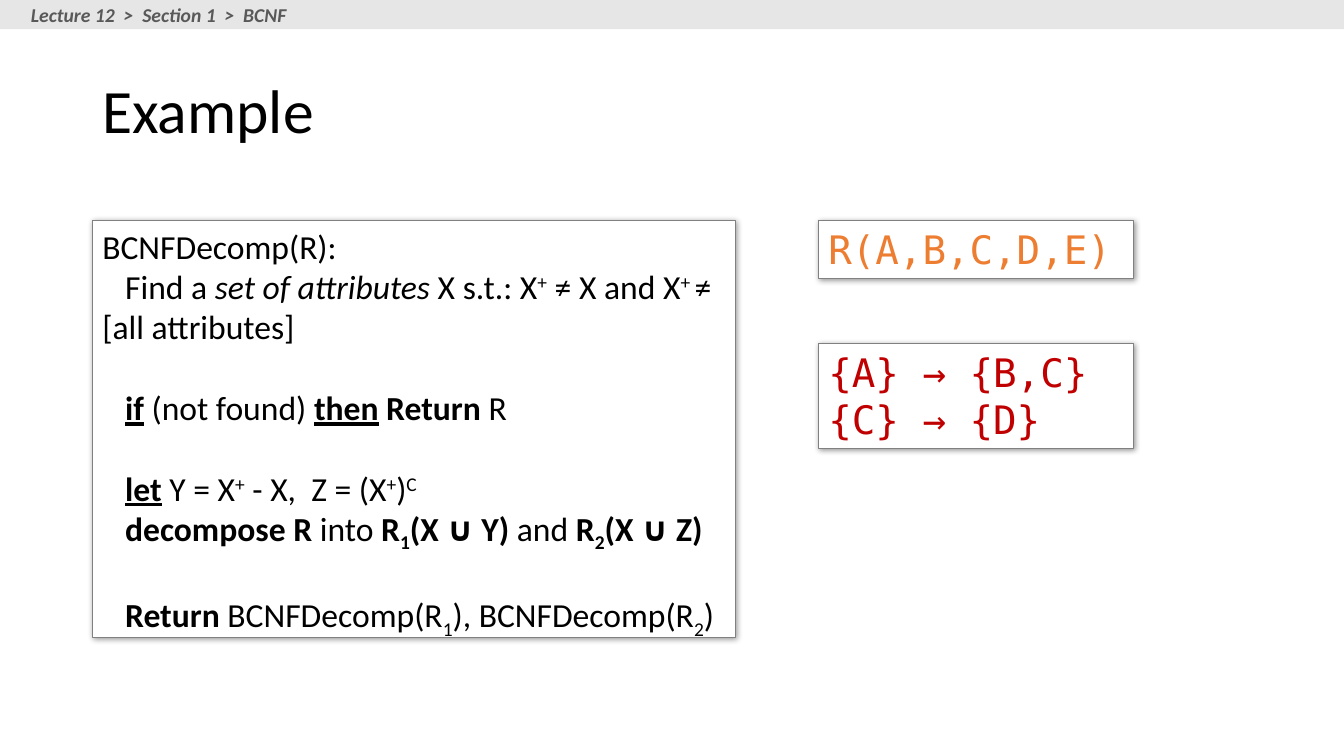
import pptx
import pptx.util
import pptx.dml.color
import pptx.enum.shapes
import pptx.enum.text
import pptx.oxml
import pptx.oxml.ns

Pt = pptx.util.Pt
Anchor = pptx.enum.text.MSO_ANCHOR

# Content: a line is a list of (text, style) runs
# Styles: b bold, i italic, u underline, ^ superscript, _ subscript
CRUMB = [[("Lecture 12  >  Section 1  >  BCNF", "bi")]]
TITLE = [[("Example", "")]]
SCHEMA = [[("R(A,B,C,D,E)", "")]]
RULES = [[("{A} → {B,C}", "")], [("{C} → {D}", "")]]
STEPS = [
    [("BCNFDecomp(R):", "")],
    [("Find a ", ""), ("set of attributes ", "i"), ("X s.t.: X", ""),
     ("+", "^"), (" ≠ X and X", ""), ("+ ", "^"), ("≠ [all attributes]", "")],
    [("if", "bu"), (" (not found) ", ""), ("then", "bu"), (" ", ""),
     ("Return", "b"), (" R", "")],
    [("let", "bu"), (" Y = X", ""), ("+", "^"), (" - X,  Z = (X", ""),
     ("+", "^"), (")", ""), ("C", "^")],
    [("decompose R", "b"), (" into ", ""), ("R", "b"), ("1", "b_"),
     ("(X ∪ Y) ", "b"), ("and ", ""), ("R", "b"), ("2", "b_"),
     ("(X ∪ Z)", "b")],
    [("Return ", "b"), ("BCNFDecomp(R", ""), ("1", "_"),
     ("), BCNFDecomp(R", ""), ("2", "_"), (")", "")],
]
GAPS = {2, 3, 5}  # steps that follow a one-line gap

# Layout
WIDE, HIGH = 960, 540
LEFT, RIGHT, TOP = 66, 584.6, 157.7
SIDE = 225.4
MONO = "DejaVu Sans Mono"
SHIFT = {"^": "30000", "_": "-25000"}
SHADOW = (
    '<a:effectLst %s><a:outerShdw blurRad="50800" dist="12700" dir="2700000" '
    'algn="tl" rotWithShape="0"><a:srgbClr val="000000">'
    '<a:alpha val="40000"/></a:srgbClr></a:outerShdw></a:effectLst>'
    % pptx.oxml.ns.nsdecls("a"))

deck = pptx.Presentation()
deck.slide_width, deck.slide_height = Pt(WIDE), Pt(HIGH)
slide = deck.slides.add_slide(deck.slide_layouts[6])


def color(code):
    return pptx.dml.color.RGBColor.from_string(code)


def write(shape, lines, size=24, font="Calibri", ink="000000",
          anchor=Anchor.TOP, wrap=True, indent=0, gaps=(), lead=None):
    frame = shape.text_frame
    frame.word_wrap, frame.vertical_anchor = wrap, anchor
    for n, line in enumerate(lines):
        para = frame.paragraphs[0] if n == 0 else frame.add_paragraph()
        para.alignment = pptx.enum.text.PP_ALIGN.LEFT
        if lead:
            para.line_spacing = lead
        if n in gaps:
            para.space_before = Pt(size * 1.2)
        if n and indent:
            props = para._p.get_or_add_pPr()
            props.set("marL", "0")
            props.set("indent", str(Pt(indent)))
        for text, style in line:
            run = para.add_run()
            run.text = text
            face = run.font
            face.name, face.size = font, Pt(size)
            face.color.rgb = color(ink)
            face.bold, face.italic = "b" in style, "i" in style
            face.underline = "u" in style
            for mark in SHIFT:
                if mark in style:
                    run._r.get_or_add_rPr().set("baseline", SHIFT[mark])


def rect(x, y, w, h, fill):
    shape = slide.shapes.add_shape(
        pptx.enum.shapes.MSO_SHAPE.RECTANGLE, Pt(x), Pt(y), Pt(w), Pt(h))
    shape.shadow.inherit = False
    shape.fill.solid()
    shape.fill.fore_color.rgb = color(fill)
    shape.line.fill.background()
    return shape


def panel(x, y, w, h, lines, **style):
    shape = rect(x, y, w, h, "FFFFFF")
    shape.line.color.rgb = color("808080")
    shape.line.width = Pt(0.75)
    props = shape._element.spPr
    props.remove(props.find(pptx.oxml.ns.qn("a:effectLst")))
    props.append(pptx.oxml.parse_xml(SHADOW))
    write(shape, lines, **style)


def label(x, y, w, h, lines, **style):
    box = slide.shapes.add_textbox(Pt(x), Pt(y), Pt(w), Pt(h))
    write(box, lines, **style)


# Header bar and title
rect(0, 0, WIDE, 20.9, "E7E6E6")
label(15, -1.5, 201.6, 24.2, CRUMB, size=14, ink="595959", wrap=False)
label(LEFT, 28.8, 828, 104.4, TITLE, size=44, anchor=Anchor.MIDDLE, lead=0.9)

# Algorithm, schema and dependencies
panel(LEFT, TOP, 459.4, 298, STEPS, indent=16.3, gaps=GAPS)
panel(RIGHT, TOP, SIDE, 41, SCHEMA, size=28, font=MONO, ink="ED7D31")
panel(RIGHT, 245.5, SIDE, 75, RULES, size=28, font=MONO, ink="C00000")

deck.save("out.pptx")
